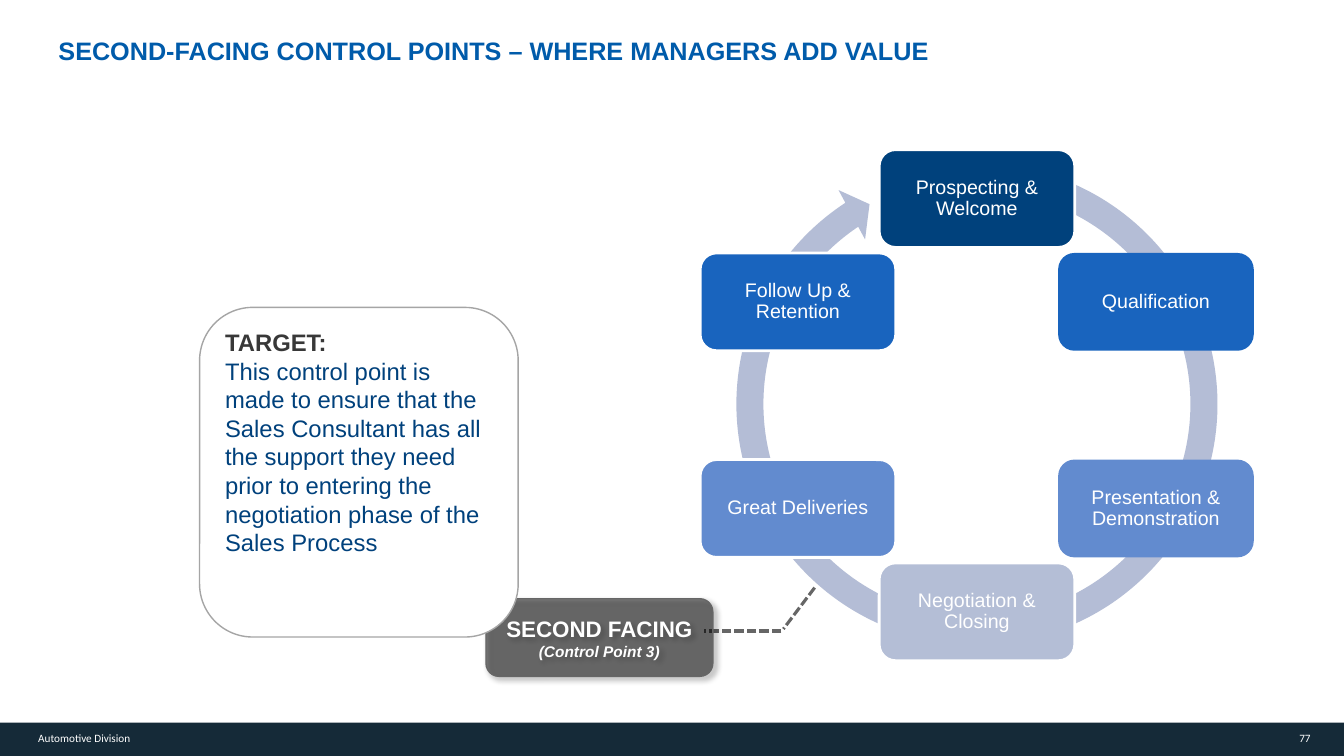
from math import cos, radians, sin

from lxml import etree
from pptx import Presentation
from pptx.dml.color import RGBColor
from pptx.enum.dml import MSO_LINE
from pptx.enum.shapes import MSO_CONNECTOR, MSO_SHAPE as SHAPE
from pptx.enum.text import MSO_ANCHOR as ANCHOR, PP_ALIGN as ALIGN
from pptx.oxml import parse_xml
from pptx.oxml.ns import nsdecls, qn
from pptx.util import Inches, Pt

WHITE = RGBColor(0xFF, 0xFF, 0xFF)
BLACK = RGBColor(0, 0, 0)
FOOTER = RGBColor(0x15, 0x2A, 0x38)
TITLE = RGBColor(0x00, 0x5B, 0xAA)
NAVY = RGBColor(0x00, 0x41, 0x7C)
BLUE = RGBColor(0x19, 0x64, 0xBE)
SKY = RGBColor(0x62, 0x8B, 0xCF)
MIST = RGBColor(0xB4, 0xBE, 0xD6)
RING = RGBColor(0xB4, 0xBD, 0xD6)
CHARCOAL = RGBColor(0x38, 0x38, 0x38)
GREY = RGBColor(0x66, 0x66, 0x66)
SILVER = RGBColor(0xA5, 0xA5, 0xA5)

STEPS = [
    ("Prospecting & Welcome", NAVY, True),
    ("Qualification", BLUE, False),
    ("Presentation & Demonstration", SKY, False),
    ("Negotiation & Closing", MIST, True),
    ("Great Deliveries", SKY, True),
    ("Follow Up & Retention", BLUE, True),
]
CENTER_X, CENTER_Y, RADIUS = 9.69, 4.02, 2.05
CARD_W, CARD_H = 1.94, 0.97
RING_SIZE = 5.06
RING_ADJUSTMENTS = (0.053, 3.126, 141.932, 171.475, 0.055)
TARGET_TEXT = (
    "This control point is made to ensure that the Sales Consultant has all "
    "the support they need prior to entering the negotiation phase of the "
    "Sales Process"
)


def style_run(r, size, color, bold=False, italic=False, font="Arial"):
    """Format one run."""
    r.font.name, r.font.size = font, Pt(size)
    r.font.bold, r.font.italic = bold, italic
    r.font.color.rgb = color


def set_insets(tf, inset):
    """Give a text frame equal insets on all sides."""
    tf.margin_left = tf.margin_right = Inches(inset)
    tf.margin_top = tf.margin_bottom = Inches(inset)


def add_panel(s, kind, box, fill, line=None, width=1):
    """Add a filled preset shape with an optional outline."""
    sp = s.shapes.add_shape(kind, *map(Inches, box))
    sp.shadow.inherit = False
    sp.fill.solid()
    sp.fill.fore_color.rgb = fill
    if line is None:
        sp.line.fill.background()
    else:
        sp.line.color.rgb = line
        sp.line.width = Pt(width)
    sp.text_frame.word_wrap = True
    return sp


def add_label(s, box, text, size, color, bold=False, font="Arial",
              align=ALIGN.LEFT, anchor=ANCHOR.TOP, inset=0, wrap=False):
    """Add a single-paragraph text box."""
    tf = s.shapes.add_textbox(*map(Inches, box)).text_frame
    tf.word_wrap = wrap
    tf.vertical_anchor = anchor
    set_insets(tf, inset)
    tf.text = text
    p = tf.paragraphs[0]
    p.alignment = align
    style_run(p.runs[0], size, color, bold, font=font)


def add_dashed_line(s, start, end):
    """Add one dashed piece of the callout line."""
    line = s.shapes.add_connector(
        MSO_CONNECTOR.STRAIGHT, *map(Inches, start + end))
    line.line.color.rgb = GREY
    line.line.width = Pt(2.25)
    line.line.dash_style = MSO_LINE.SQUARE_DOT
    etree.SubElement(line._element.spPr, qn("a:effectLst"))


def add_step(s, index, name, fill, outlined):
    """Add one card of the sales cycle at its place on the ring."""
    angle = radians(60 * index - 90)
    left = CENTER_X + RADIUS * cos(angle) - CARD_W / 2
    top = CENTER_Y + RADIUS * sin(angle) - CARD_H / 2
    sp = add_panel(s, SHAPE.ROUNDED_RECTANGLE, (left, top, CARD_W, CARD_H),
                   fill, WHITE if outlined else None, 2)
    tf = sp.text_frame
    set_insets(tf, 0.06)
    tf.vertical_anchor = ANCHOR.MIDDLE
    tf.text = name
    p = tf.paragraphs[0]
    p.alignment = ALIGN.CENTER
    p.line_spacing = 0.9
    style_run(p.runs[0], 14, WHITE)


def add_cycle(s):
    """Add the ring arrow and the six process cards."""
    ring = add_panel(s, SHAPE.CIRCULAR_ARROW,
                     (7.16, 1.48, RING_SIZE, RING_SIZE), RING)
    for i, value in enumerate(RING_ADJUSTMENTS):
        ring.adjustments[i] = value
    for i, step in enumerate(STEPS):
        add_step(s, i, *step)


def add_control_point(s):
    """Add the translucent, shadowed control point box."""
    sp = add_panel(s, SHAPE.ROUNDED_RECTANGLE, (4.82, 5.94, 2.25, 0.77),
                   BLACK, GREY)
    spPr = sp._element.spPr
    color = spPr.find(qn("a:solidFill")).find(qn("a:srgbClr"))
    etree.SubElement(color, qn("a:alpha"), val="50000")
    effects = spPr.find(qn("a:effectLst"))
    effects.append(parse_xml(
        f'<a:outerShdw {nsdecls("a")} blurRad="{Pt(4)}" dist="{Pt(3)}" '
        'dir="2700000" algn="tl" rotWithShape="0"><a:srgbClr val="000000">'
        '<a:alpha val="40000"/></a:srgbClr></a:outerShdw>'))
    tf = sp.text_frame
    tf.vertical_anchor = ANCHOR.MIDDLE
    tf.text = "SECOND FACING\v(Control Point 3)"
    p = tf.paragraphs[0]
    p.alignment = ALIGN.CENTER
    style_run(p.runs[0], 16, WHITE, bold=True)
    style_run(p.runs[1], 11, WHITE, bold=True, italic=True)


def add_target(s):
    """Add the box that states the target of the control point."""
    sp = add_panel(s, SHAPE.ROUNDED_RECTANGLE, (1.98, 3.05, 3.16, 3.27),
                   WHITE, SILVER)
    tf = sp.text_frame
    tf.vertical_anchor = ANCHOR.TOP
    tf.text = f"TARGET:\n{TARGET_TEXT}"
    for p, color, bold in zip(tf.paragraphs, (CHARCOAL, NAVY), (True, False)):
        p.alignment = ALIGN.LEFT
        style_run(p.runs[0], 17, color, bold)


def add_footer(s):
    """Add the bottom bar with the division name and page number."""
    add_panel(s, SHAPE.RECTANGLE, (0, 7.17, 13.33, 0.33), FOOTER)
    add_label(s, (12.86, 7.26, 0.14, 0.13), "77", 8, WHITE, font="Calibri",
              align=ALIGN.RIGHT, anchor=ANCHOR.MIDDLE)
    add_label(s, (0.28, 7.2, 1.21, 0.24), "Automotive Division", 8, WHITE,
              font="Calibri", anchor=ANCHOR.MIDDLE, inset=0.1)


def main():
    """Build the slide and save it."""
    prs = Presentation()
    prs.slide_width, prs.slide_height = Inches(13.33), Inches(7.5)
    s = prs.slides.add_slide(prs.slide_layouts[6])
    add_footer(s)
    add_dashed_line(s, (7.75, 6.26), (6.98, 6.26))
    add_dashed_line(s, (8.08, 5.83), (7.77, 6.24))
    add_label(s, (0.58, 0.35, 11.91, 0.3),
              "SECOND-FACING CONTROL POINTS – WHERE MANAGERS ADD VALUE",
              18, TITLE, bold=True, wrap=True)
    add_control_point(s)
    add_target(s)
    add_cycle(s)
    prs.save("out.pptx")


if __name__ == "__main__":
    main()
